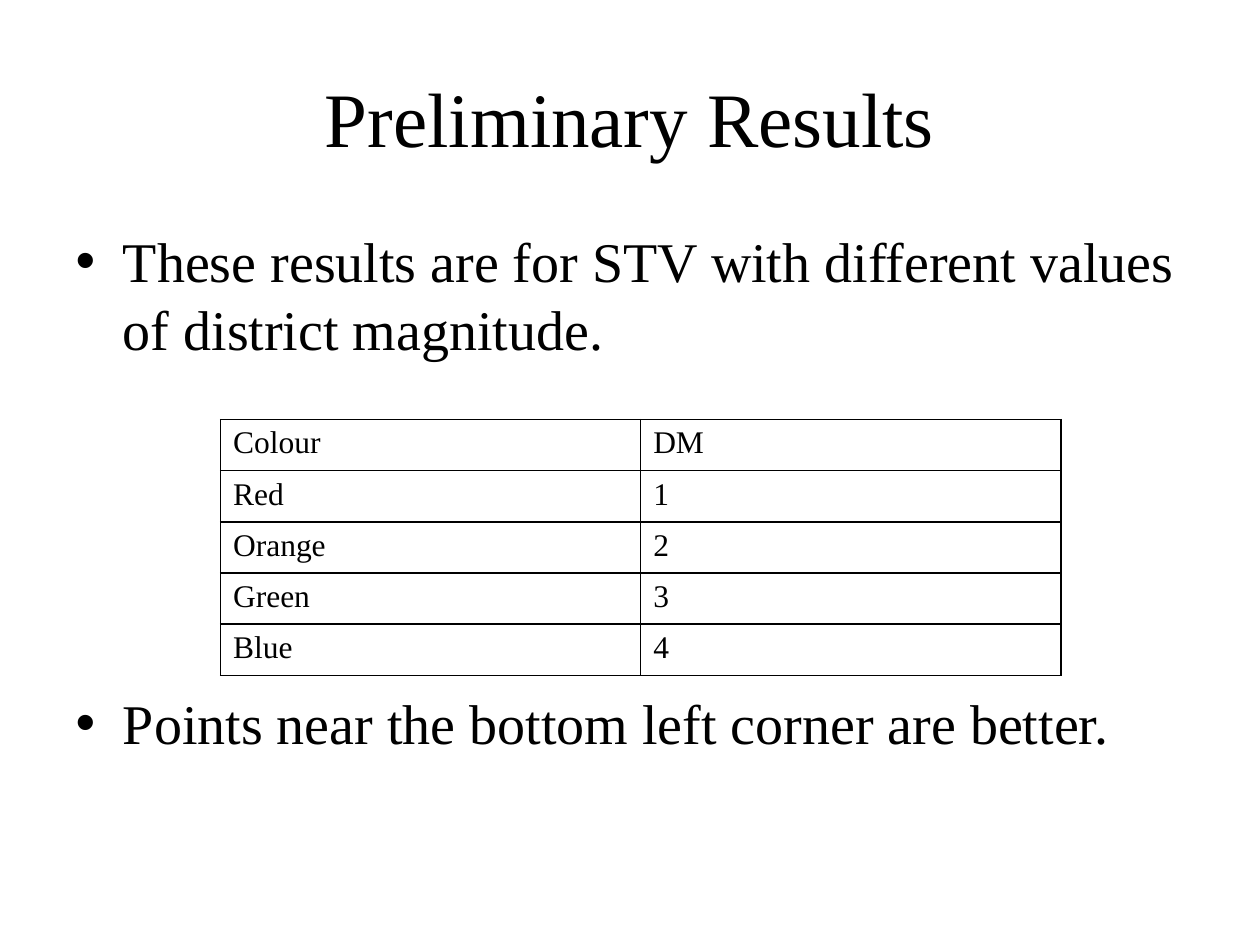
import pptx
import pptx.util
import pptx.dml.color
import pptx.enum.text
import pptx.oxml.ns
import lxml.etree

Inches = pptx.util.Inches
Pt = pptx.util.Pt
BLACK = pptx.dml.color.RGBColor(0, 0, 0)
FONT = "Times New Roman"
ROWS = [("Colour", "DM"), ("Red", "1"), ("Orange", "2"), ("Green", "3"), ("Blue", "4")]


def write(para, text, size=18, align=None, before=None):
    """Put formatted text into a paragraph."""
    run = para.add_run()
    run.text = text
    run.font.name = FONT
    run.font.size = Pt(size)
    run.font.bold = False
    run.font.color.rgb = BLACK
    if align is not None:
        para.alignment = align
    if before is not None:
        para.space_before = Pt(before)


def place(shape, box):
    """Move a placeholder to a box given in inches."""
    shape.left, shape.top, shape.width, shape.height = map(Inches, box)
    shape.text_frame.auto_size = pptx.enum.text.MSO_AUTO_SIZE.NONE
    return shape.text_frame


def add_title(slide, box, text):
    """Fill the title placeholder."""
    frame = place(slide.shapes.title, box)
    frame.vertical_anchor = pptx.enum.text.MSO_ANCHOR.MIDDLE
    write(frame.paragraphs[0], text, size=44, align=pptx.enum.text.PP_ALIGN.CENTER)


def add_list(slide, box, items):
    """Fill the body placeholder with bullets and their space before."""
    frame = place(slide.placeholders[1], box)
    for i, (text, before) in enumerate(items):
        para = frame.add_paragraph() if i else frame.paragraphs[0]
        write(para, text, size=32, before=before)


def rule(cell, width=1):
    """Draw thin lines on all four sides of a cell."""
    props = cell._tc.get_or_add_tcPr()
    qn = pptx.oxml.ns.qn
    for i, side in enumerate(("a:lnL", "a:lnR", "a:lnT", "a:lnB")):
        line = lxml.etree.Element(qn(side), w=str(Pt(width)))
        fill = lxml.etree.SubElement(line, qn("a:solidFill"))
        lxml.etree.SubElement(fill, qn("a:srgbClr"), val=str(BLACK))
        props.insert(i, line)


def add_grid(slide, box, rows):
    """Add a plain ruled table with equal rows and columns."""
    size = len(rows), len(rows[0])
    table = slide.shapes.add_table(*size, *map(Inches, box)).table
    table.first_row = table.horz_banding = False
    for r, row in enumerate(rows):
        for c, text in enumerate(row):
            cell = table.cell(r, c)
            cell.fill.background()
            rule(cell)
            write(cell.text_frame.paragraphs[0], text)


def main():
    """Build and save the slide."""
    deck = pptx.Presentation()
    deck.slide_width, deck.slide_height = Inches(10), Inches(7.5)
    slide = deck.slides.add_slide(deck.slide_layouts[1])
    add_title(slide, (0.5, 0.3, 9, 1.25), "Preliminary Results")
    add_list(slide, (0.5, 1.75, 9, 4.95), [
        ("These results are for STV with different values of district magnitude.", None),
        ("Points near the bottom left corner are better.", 187),
    ])
    add_grid(slide, (1.75, 3.33, 6.67, 2.03), ROWS)
    deck.save("out.pptx")


main()
